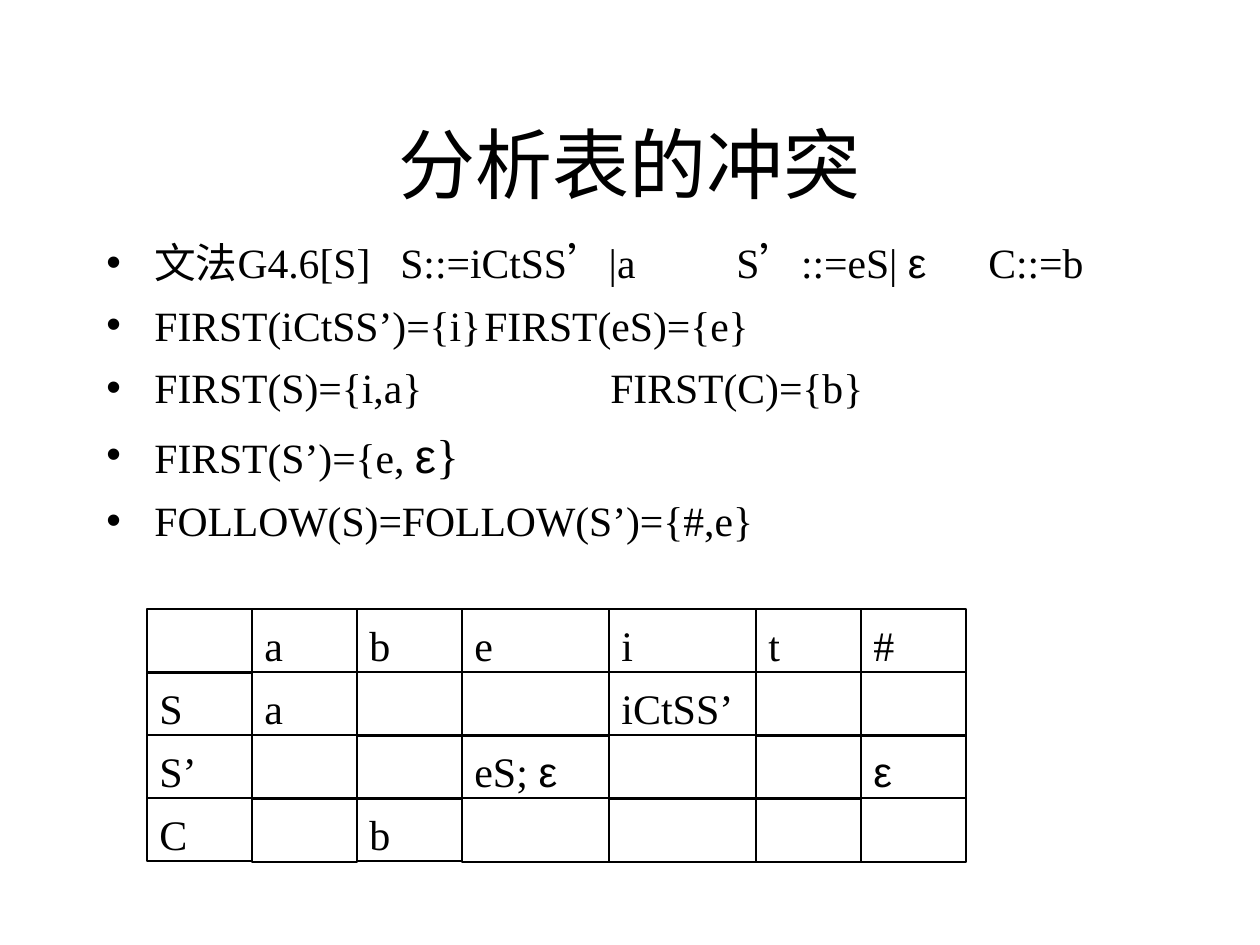
from dataclasses import dataclass

import pptx
import pptx.dml.color
import pptx.enum.shapes
import pptx.enum.text
import pptx.oxml
import pptx.oxml.ns
import pptx.util

EMU_PER_PX = 914400 / 126
BLACK = pptx.dml.color.RGBColor(0x00, 0x00, 0x00)
SERIF = "Times New Roman"
SANS = "Arial"
BODY_SIZE = 23.8
LARGE_SIZE = 27.2
INDENT = 48
TAB_STOPS = (294, 378, 504, 630, 756, 882)
GRID_LEFT = 147
GRID_TOP = 609
COLUMN_WIDTHS = (105, 105, 105, 147, 147, 105, 105)
ROW_HEIGHT = 63
CELL_TOP_INSET = 10


@dataclass(frozen=True)
class Segment:
    text: str
    font: str | None = None
    size: float | None = None


@dataclass(frozen=True)
class Bullet:
    segments: tuple[Segment, ...]
    space_before: int = 7


EPSILON = Segment("ε", SANS)

BULLETS = (
    Bullet(
        (Segment("文法G4.6[S]\tS::=iCtSS’|a\tS’::=eS| "), EPSILON, Segment("\tC::=b")),
        space_before=0,
    ),
    Bullet((Segment("FIRST(iCtSS’)={i}\tFIRST(eS)={e}"),)),
    Bullet((Segment("FIRST(S)={i,a}\t\tFIRST(C)={b}"),)),
    Bullet(
        (
            Segment("FIRST(S’)={e, "),
            Segment("ε", SANS, LARGE_SIZE),
            Segment("}", size=LARGE_SIZE),
        ),
        space_before=8,
    ),
    Bullet((Segment("FOLLOW(S)=FOLLOW(S’)={#,e}"),)),
)

HEADINGS = ("a", "b", "e", "i", "t", "#")
PARSE_ROWS = {
    "S": {"a": (Segment("a"),), "i": (Segment("iCtSS’"),)},
    "S’": {"e": (Segment("eS; "), EPSILON), "#": (EPSILON,)},
    "C": {"b": (Segment("b"),)},
}


def px(length: int) -> pptx.util.Emu:
    return pptx.util.Emu(round(length * EMU_PER_PX))


def set_font(paragraph, size: float) -> None:
    paragraph.font.name = SERIF
    paragraph.font.size = pptx.util.Pt(size)
    paragraph.font.color.rgb = BLACK


def add_segments(paragraph, segments: tuple[Segment, ...]) -> None:
    for segment in segments:
        run = paragraph.add_run()
        run.text = segment.text
        if segment.font:
            run.font.name = segment.font
        if segment.size:
            run.font.size = pptx.util.Pt(segment.size)


def add_text_frame(slide, left: int, top: int, width: int, height: int):
    shape = slide.shapes.add_textbox(px(left), px(top), px(width), px(height))
    shape.text_frame.word_wrap = True
    return shape.text_frame


def add_title(slide) -> None:
    text_frame = add_text_frame(slide, 94, 84, 1071, 158)
    text_frame.vertical_anchor = pptx.enum.text.MSO_ANCHOR.MIDDLE
    paragraph = text_frame.paragraphs[0]
    paragraph.alignment = pptx.enum.text.PP_ALIGN.CENTER
    set_font(paragraph, 44)
    add_segments(paragraph, (Segment("分析表的冲突"),))


def add_bullet_and_tabs(paragraph) -> None:
    properties = paragraph._p.get_or_add_pPr()
    properties.set("marL", str(px(INDENT)))
    properties.set("indent", str(-px(INDENT)))
    namespace = pptx.oxml.ns.nsdecls("a")
    stops = "".join(f'<a:tab pos="{px(stop)}" algn="l"/>' for stop in TAB_STOPS)
    for xml in (
        f'<a:buClr {namespace}><a:srgbClr val="{BLACK}"/></a:buClr>',
        f'<a:buFont {namespace} typeface="{SANS}"/>',
        f'<a:buChar {namespace} char="•"/>',
        f"<a:tabLst {namespace}>{stops}</a:tabLst>",
    ):
        properties.append(pptx.oxml.parse_xml(xml))


def add_bullets(slide) -> None:
    text_frame = add_text_frame(slide, 94, 231, 1081, 388)
    for index, bullet in enumerate(BULLETS):
        paragraph = text_frame.add_paragraph() if index else text_frame.paragraphs[0]
        if bullet.space_before:
            paragraph.space_before = pptx.util.Pt(bullet.space_before)
        add_bullet_and_tabs(paragraph)
        set_font(paragraph, BODY_SIZE)
        add_segments(paragraph, bullet.segments)


def add_cell(
    group, left: int, top: int, width: int, segments: tuple[Segment, ...]
) -> None:
    cell = group.shapes.add_shape(
        pptx.enum.shapes.MSO_SHAPE.RECTANGLE,
        px(left), px(top), px(width), px(ROW_HEIGHT if segments else ROW_HEIGHT + 1),
    )
    cell.shadow.inherit = False
    cell.fill.background()
    cell.line.color.rgb = BLACK
    cell.line.width = pptx.util.Pt(0.75)
    if not segments:
        return
    text_frame = cell.text_frame
    text_frame.word_wrap = True
    text_frame.vertical_anchor = pptx.enum.text.MSO_ANCHOR.TOP
    text_frame.margin_top = px(CELL_TOP_INSET)
    paragraph = text_frame.paragraphs[0]
    paragraph.alignment = pptx.enum.text.PP_ALIGN.LEFT
    set_font(paragraph, 24)
    add_segments(paragraph, segments)


def add_parse_grid(slide) -> None:
    rows = [[(), *((Segment(heading),) for heading in HEADINGS)]]
    for symbol, entries in PARSE_ROWS.items():
        cells = [entries.get(heading, ()) for heading in HEADINGS]
        rows.append([(Segment(symbol),), *cells])

    group = slide.shapes.add_group_shape()
    for row_index, row in enumerate(rows):
        top = GRID_TOP + row_index * ROW_HEIGHT
        for column_index, segments in enumerate(row):
            left = GRID_LEFT + sum(COLUMN_WIDTHS[:column_index])
            add_cell(group, left, top, COLUMN_WIDTHS[column_index], segments)


def main() -> None:
    presentation = pptx.Presentation()
    presentation.slide_width = px(1260)
    presentation.slide_height = px(945)
    slide = presentation.slides.add_slide(presentation.slide_layouts[6])
    add_title(slide)
    add_bullets(slide)
    add_parse_grid(slide)
    presentation.save("out.pptx")


if __name__ == "__main__":
    main()
